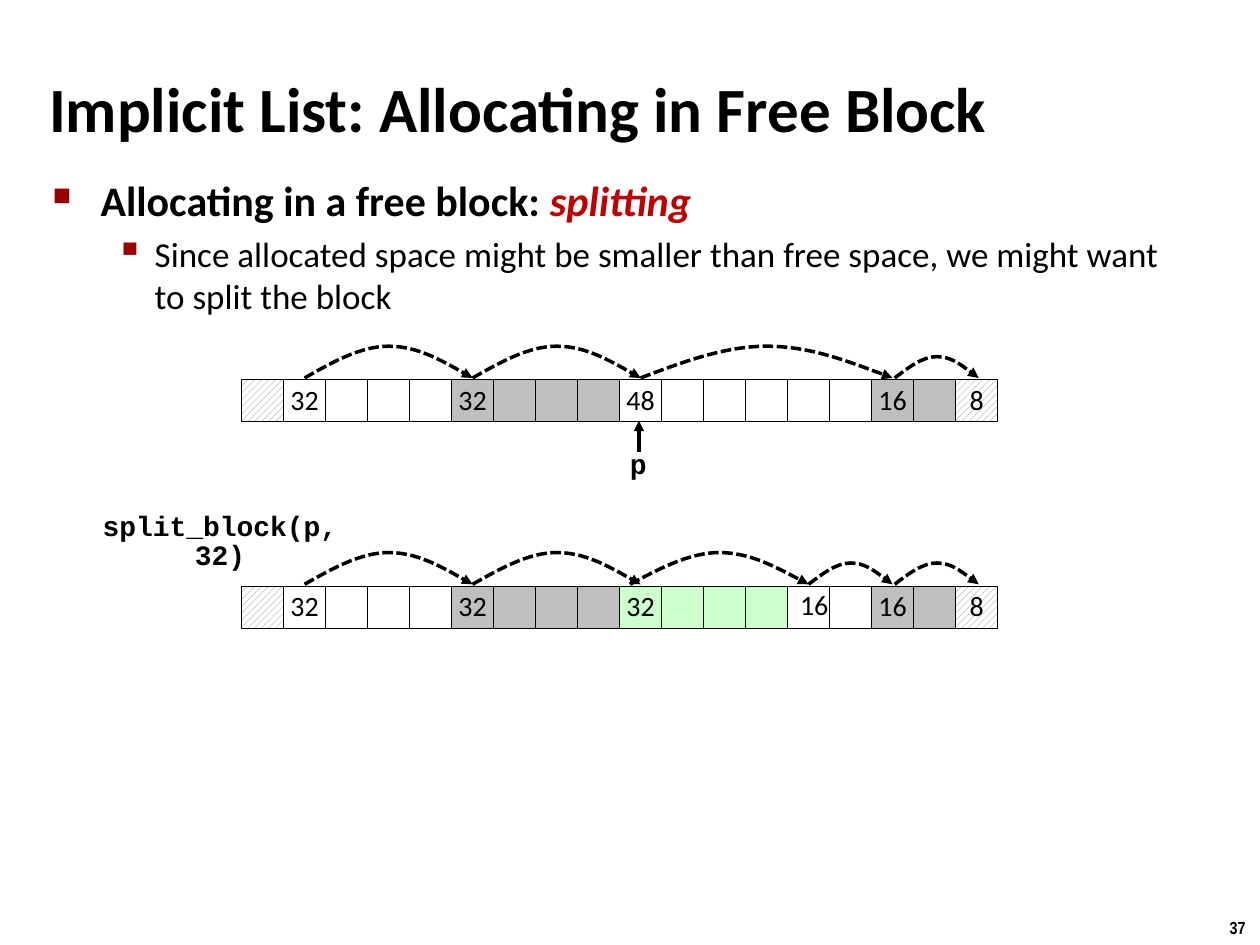
from lxml import etree
from pptx import Presentation
from pptx import util as u
from pptx.dml.color import RGBColor
from pptx.enum import dml, shapes, text
from pptx.oxml import ns

BLACK = RGBColor(0x00, 0x00, 0x00)
WHITE = RGBColor(0xFF, 0xFF, 0xFF)
GREY = RGBColor(0xBF, 0xBF, 0xBF)
HATCH = RGBColor(0x80, 0x80, 0x80)
GREEN = RGBColor(0xCC, 0xFF, 0xCC)
RED = RGBColor(0xC0, 0x00, 0x00)
BULLET = RGBColor(0x99, 0x00, 0x00)

CELL = 25.4 / 30
HEAP_LEFT = 4.87
LONG_ARC, SHORT_ARC = 0.64, 0.43


def child(parent, tag, **attributes):
    return etree.SubElement(parent, ns.qn(tag), attributes)


class HeapSlide:
    body_font = "Calibri"
    code_font = "Courier New"

    def __init__(self, deck):
        self.items = deck.slides.add_slide(deck.slide_layouts[6]).shapes

    def style(self, span, size, name=None, bold=False, italic=False, color=BLACK):
        span.font.name = name or self.body_font
        span.font.size = u.Pt(size)
        span.font.bold = bold
        span.font.italic = italic
        span.font.color.rgb = color

    def text_box(self, left, top, width, height, wrap=False):
        box = self.items.add_textbox(u.Cm(left), u.Cm(top), u.Cm(width), u.Cm(height))
        box.text_frame.word_wrap = wrap
        return box.text_frame

    def label(self, words, left, top, width, height, size, spacing=1.0,
              align=text.PP_ALIGN.LEFT, anchor=text.MSO_ANCHOR.TOP, **look):
        frame = self.text_box(left, top, width, height)
        frame.text = words
        frame.vertical_anchor = anchor
        para = frame.paragraphs[0]
        para.alignment = align
        para.line_spacing = spacing
        self.style(para.runs[0], size, **look)

    def bullet(self, para, mark, scale, margin, hanging):
        props = para._p.get_or_add_pPr()
        props.set("marL", str(u.Cm(margin)))
        props.set("indent", str(-u.Cm(hanging)))
        child(child(props, "a:buClr"), "a:srgbClr", val=str(BULLET))
        child(props, "a:buSzPct", val=str(scale * 1000))
        child(props, "a:buChar", char=mark)

    def cell(self, column, top, fill, words=""):
        box = self.items.add_shape(
            shapes.MSO_SHAPE.RECTANGLE, u.Cm(HEAP_LEFT + column * CELL), u.Cm(top),
            u.Cm(CELL), u.Cm(CELL))
        box.shadow.inherit = False
        if fill == HATCH:
            box.fill.patterned()
            box.fill.pattern = dml.MSO_PATTERN.WIDE_UPWARD_DIAGONAL
            box.fill.fore_color.rgb = HATCH
            box.fill.back_color.rgb = WHITE
        else:
            box.fill.solid()
            box.fill.fore_color.rgb = fill
        box.line.color.rgb = BLACK
        box.line.width = u.Pt(0.25)
        if words:
            frame = box.text_frame
            frame.text = words
            frame.word_wrap = False
            frame.vertical_anchor = text.MSO_ANCHOR.MIDDLE
            para = frame.paragraphs[0]
            para.alignment = text.PP_ALIGN.CENTER
            para.line_spacing = 0.98
            self.style(para.runs[0], 16)

    def heap(self, top, blocks):
        column = 0
        for length, words, fill in blocks:
            for offset in range(length):
                self.cell(column + offset, top, fill, "" if offset else words)
            column += length

    def arrow_line(self, line):
        line.color.rgb = BLACK
        line.width = u.Pt(2)
        child(line._get_or_add_ln(), "a:tailEnd", type="triangle")

    def arc(self, first, last, base, height):
        start, width = HEAP_LEFT + first * CELL, (last - first) * CELL
        curve = [(1 / 6, 0.5), (1 / 3, 1), (1 / 2, 1), (2 / 3, 1), (5 / 6, 0.5), (1, 0)]
        points = [(u.Cm(start + x * width), u.Cm(base - y * height)) for x, y in curve]
        builder = self.items.build_freeform(u.Cm(start), u.Cm(base))
        builder.add_line_segments(points, close=False)
        arc = builder.convert_to_shape()
        arc.shadow.inherit = False
        arc.fill.background()
        arc.line.dash_style = dml.MSO_LINE.SQUARE_DOT
        self.arrow_line(arc.line)
        outline = arc._element.find(".//" + ns.qn("a:path"))
        segments = outline.findall(ns.qn("a:lnTo"))
        for half in (segments[:3], segments[3:]):
            bezier = child(outline, "a:cubicBezTo")
            for segment in half:
                bezier.append(segment[0])
                outline.remove(segment)

    def arrow(self, x, start, end):
        arrow = self.items.add_connector(
            shapes.MSO_CONNECTOR.STRAIGHT, u.Cm(x), u.Cm(start), u.Cm(x), u.Cm(end))
        self.arrow_line(arrow.line)
        child(arrow._element.spPr, "a:effectLst")

    def body(self):
        frame = self.text_box(0.81, 3.4, 23.09, 14.5, wrap=True)
        topic = frame.paragraphs[0]
        self.bullet(topic, "■", 60, 0.97, 0.97)
        for words, look in (("Allocating in a free block: ", {}),
                            ("splitting", {"italic": True, "color": RED})):
            span = topic.add_run()
            span.text = words
            self.style(span, 24, bold=True, **look)
        detail = frame.add_paragraph()
        detail.text = ("Since allocated space might be smaller than free space, "
                       "we might want to split the block")
        detail.level = 1
        self.bullet(detail, "▪", 110, 2.06, 0.79)
        detail.space_before = u.Pt(4)
        self.style(detail.runs[0], 20)


def main():
    deck = Presentation()
    deck.slide_width, deck.slide_height = u.Cm(25.4), u.Cm(19.05)
    page = HeapSlide(deck)
    page.label("37", 24.54, 18.36, 0.86, 0.69, 10, name="Arial Narrow", bold=True)
    page.label("Implicit List: Allocating in Free Block", 0.74, 1.37, 23.93, 1.6, 36,
               bold=True, anchor=text.MSO_ANCHOR.MIDDLE)
    page.body()

    start = [(1, "", HATCH), (4, "32", WHITE), (4, "32", GREY)]
    end = [(2, "16", GREY), (1, "8", HATCH)]
    first_arcs = [(1.5, 5.5, LONG_ARC), (5.5, 9.5, LONG_ARC)]
    last_arc = [(15.55, 17.55, SHORT_ARC)]
    before = [(6, "48", WHITE)]
    after = [(4, "32", GREEN), (2, "", WHITE)]
    before_arcs = [(9.5, 15.5, LONG_ARC)]
    after_arcs = [(9.25, 13.5, LONG_ARC), (13.5, 15.5, SHORT_ARC)]
    for top, middle, arcs in ((7.65, before, before_arcs), (11.81, after, after_arcs)):
        page.heap(top, start + middle + end)
        for first, last, height in first_arcs + arcs + last_arc:
            page.arc(first, last, top - 0.03, height)

    page.label("16", 15.88, 11.76, 1.09, 0.94, 16, spacing=0.98)
    page.arrow(12.88, 9.12, 8.48)
    page.label("p", 12.45, 8.92, 0.81, 0.94, 16, spacing=0.98,
               name=page.code_font, bold=True)
    page.label("split_block(p, 32)", 1.22, 10.24, 6.43, 0.86, 16, spacing=0.85,
               align=text.PP_ALIGN.CENTER, name=page.code_font, bold=True)
    deck.save("out.pptx")


if __name__ == "__main__":
    main()
